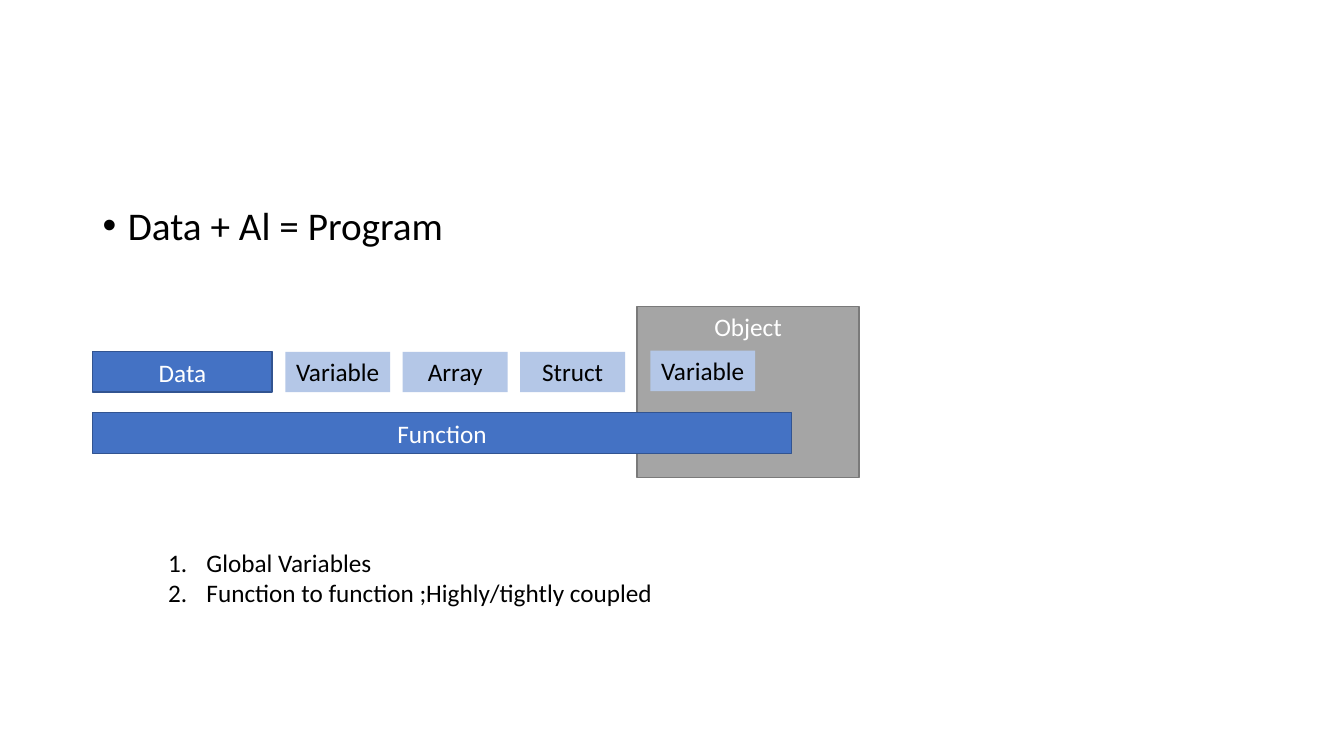
import pptx
import pptx.util
import pptx.dml.color
import pptx.enum.shapes
import pptx.enum.text
import pptx.oxml.ns
import lxml.etree

inch = pptx.util.Inches
anchor = pptx.enum.text.MSO_ANCHOR
align = pptx.enum.text.PP_ALIGN
hues = {"blue": "4472C4", "navy": "325491", "pale": "B4C7E7", "gray": "A5A5A5",
        "edge": "7A7A7A", "white": "FFFFFF", "black": "000000"}


def tint(name):
    return pptx.dml.color.RGBColor.from_string(hues[name])


def style(para, size, hue, indent=0, mark=None, value=None):
    for run in para.runs:
        run.font.name = "Calibri"
        run.font.size = pptx.util.Pt(size)
        run.font.color.rgb = tint(hue)
    if mark:
        props = para._p.get_or_add_pPr()
        props.set("marL", str(inch(indent)))
        props.set("indent", str(-inch(indent)))
        if mark == "buChar":
            font = lxml.etree.SubElement(props, pptx.oxml.ns.qn("a:buFont"))
            font.set("typeface", "Arial")
        bullet = lxml.etree.SubElement(props, pptx.oxml.ns.qn("a:" + mark))
        bullet.set("char" if mark == "buChar" else "type", value)


deck = pptx.Presentation()
deck.slide_width = inch(13.33)
deck.slide_height = inch(7.5)
slide = deck.slides.add_slide(deck.slide_layouts[6])

left, top, high = 0.92, 3.49, 0.4
first, step, wide = 2.83, 1.165, 1.04
boxes = [
    ("Object", 6.32, 3.04, 2.2, 1.7, "gray", "edge", "white"),
    ("Data", left, top, 1.78, high, "blue", "navy", "white"),
    ("Function", left, 4.09, 6.93, 0.41, "blue", "navy", "white"),
]
for col, label in enumerate(["Variable", "Array", "Struct"]):
    boxes.append((label, first + col * step, top, wide, high, "pale", None, "black"))
boxes.append(("Variable", 6.45, 3.48, wide, high, "pale", None, "black"))

for label, x, y, w, h, fill, edge, ink in boxes:
    box = slide.shapes.add_shape(
        pptx.enum.shapes.MSO_SHAPE.RECTANGLE, inch(x), inch(y), inch(w), inch(h))
    box.shadow.inherit = False
    box.fill.solid()
    box.fill.fore_color.rgb = tint(fill)
    if edge:
        box.line.color.rgb = tint(edge)
        box.line.width = pptx.util.Pt(1)
    else:
        box.line.fill.background()
    frame = box.text_frame
    frame.word_wrap = label != "Variable"
    frame.vertical_anchor = anchor.MIDDLE if fill == "blue" else anchor.TOP
    frame.text = label
    frame.paragraphs[0].alignment = align.CENTER
    style(frame.paragraphs[0], 18, ink)

lead = slide.shapes.add_textbox(inch(left), inch(2), inch(11.5), inch(1.03)).text_frame
lead.word_wrap = True
lead.text = "Data + Al = Program"
para = lead.paragraphs[0]
para.line_spacing = 0.9
para.space_before = pptx.util.Pt(10)
style(para, 28, "black", 0.25, "buChar", "•")

notes = slide.shapes.add_textbox(inch(1.57), inch(5.38), inch(5.17), inch(0.71)).text_frame
notes.word_wrap = True
notes.text = "Global Variables\nFunction to function ;Highly/tightly coupled"
for para in notes.paragraphs:
    style(para, 18, "black", 0.38, "buAutoNum", "arabicPeriod")

deck.save("out.pptx")
